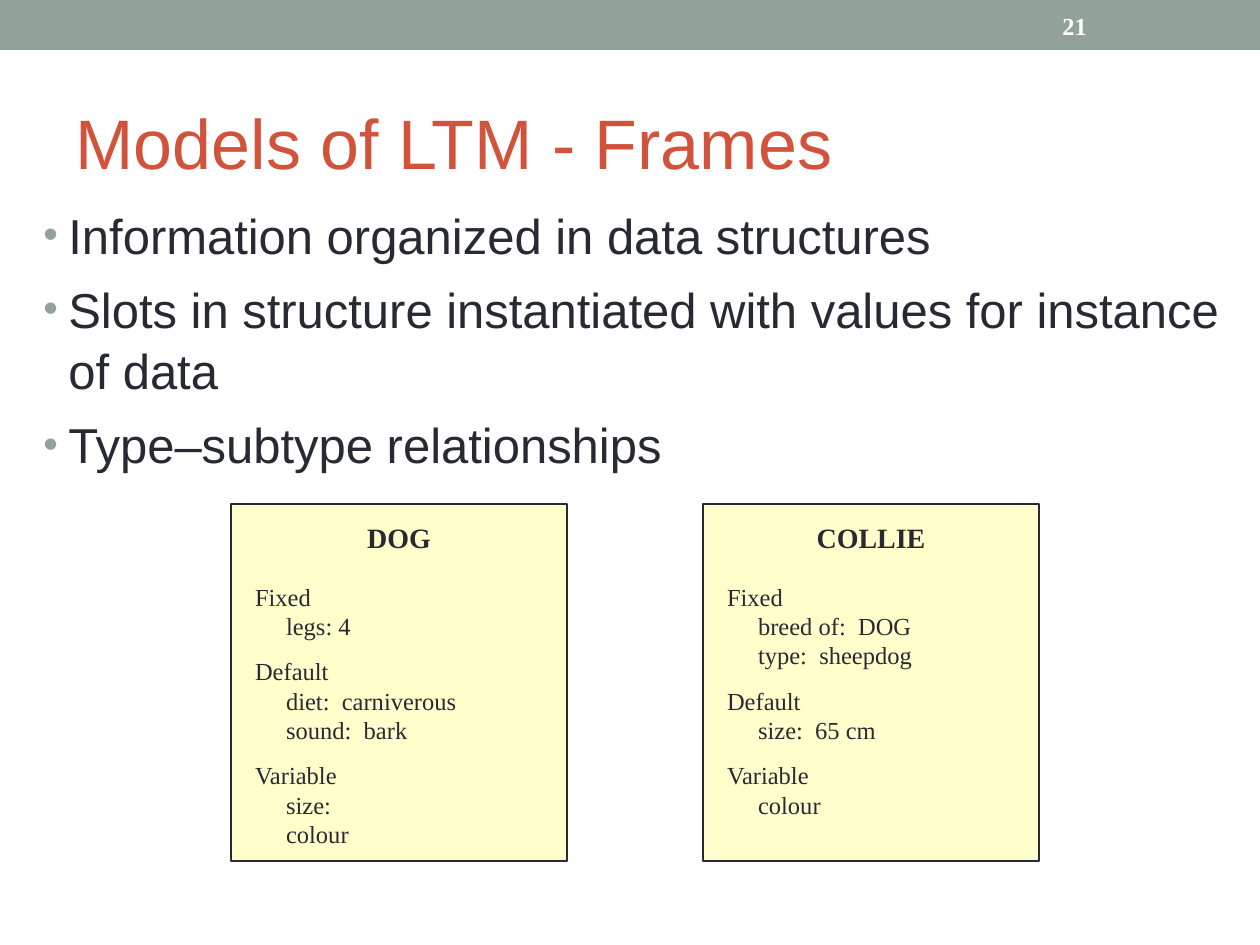
"""Build the slide on frame models of long-term memory."""
import pptx
import pptx.dml.color
import pptx.enum.shapes
import pptx.enum.text
import pptx.oxml
import pptx.oxml.ns
import pptx.util

EMU_PER_INCH = 914400
PX_PER_INCH = 126
SAGE = pptx.dml.color.RGBColor(0x93, 0xA2, 0x99)
RUST = pptx.dml.color.RGBColor(0xD2, 0x53, 0x3C)
INK = pptx.dml.color.RGBColor(0x29, 0x29, 0x34)
CREAM = pptx.dml.color.RGBColor(0xFF, 0xFF, 0xCC)
WHITE = pptx.dml.color.RGBColor(0xFF, 0xFF, 0xFF)
SANS = "Arial"
SERIF = "Times New Roman"

POINTS = [
    "Information organized in data structures",
    "Slots in structure instantiated with values for instance of data",
    "Type–subtype relationships",
]
FRAMES = [
    ("DOG", [
        ("Fixed", ["legs: 4"]),
        ("Default", ["diet:  carniverous", "sound:  bark"]),
        ("Variable", ["size:", "colour"]),
    ]),
    ("COLLIE", [
        ("Fixed", ["breed of:  DOG", "type:  sheepdog"]),
        ("Default", ["size:  65 cm"]),
        ("Variable", ["colour"]),
    ]),
]
FRAME_LEFT, FRAME_TOP, FRAME_STEP = 231, 504, 472
FRAME_WIDTH, FRAME_HEIGHT = 336, 357


def px(length):
    return pptx.util.Emu(round(length * EMU_PER_INCH / PX_PER_INCH))


def style_paragraph(paragraph, text, size, font_name, color, bold=False, space_before=0):
    paragraph.text = text
    paragraph.alignment = pptx.enum.text.PP_ALIGN.LEFT
    paragraph.space_before = pptx.util.Pt(space_before)
    paragraph.font.size = pptx.util.Pt(size)
    paragraph.font.name = font_name
    paragraph.font.bold = bold
    paragraph.font.color.rgb = color


def next_paragraph(text_frame, index):
    return text_frame.add_paragraph() if index else text_frame.paragraphs[0]


def indent_paragraph(paragraph, margin, first_line=0):
    properties = paragraph._p.get_or_add_pPr()
    properties.set("marL", str(px(margin)))
    properties.set("indent", str(px(first_line)))
    return properties


def add_bullet(paragraph):
    properties = indent_paragraph(paragraph, 25, -25)
    namespace = pptx.oxml.ns.nsdecls("a")
    for element in (
        f'<a:buClr {namespace}><a:srgbClr val="{SAGE}"/></a:buClr>',
        f'<a:buSzPct {namespace} val="85000"/>',
        f'<a:buFont {namespace} typeface="{SANS}"/>',
        f'<a:buChar {namespace} char="•"/>',
    ):
        properties.append(pptx.oxml.parse_xml(element))


def add_rectangle(slide, left, top, width, height, fill):
    shape = slide.shapes.add_shape(
        pptx.enum.shapes.MSO_SHAPE.RECTANGLE, px(left), px(top), px(width), px(height))
    shape.shadow.inherit = False
    shape.fill.solid()
    shape.fill.fore_color.rgb = fill
    shape.line.fill.background()
    return shape


def add_text_box(slide, left, top, width, height):
    box = slide.shapes.add_textbox(px(left), px(top), px(width), px(height))
    box.text_frame.word_wrap = True
    return box.text_frame


def set_title(slide, text):
    title = slide.shapes.title
    title.left, title.top, title.width, title.height = px(63), px(73), px(1134), px(136)
    text_frame = title.text_frame
    text_frame.auto_size = pptx.enum.text.MSO_AUTO_SIZE.NONE
    text_frame.vertical_anchor = pptx.enum.text.MSO_ANCHOR.MIDDLE
    style_paragraph(text_frame.paragraphs[0], text, 40, SANS, RUST)


def add_bullet_list(slide, points):
    text_frame = add_text_box(slide, 31, 196, 1229, 277)
    for index, point in enumerate(points):
        paragraph = next_paragraph(text_frame, index)
        add_bullet(paragraph)
        style_paragraph(paragraph, point, 28, SANS, INK, space_before=7 if index else 0)
        paragraph.line_spacing = 1.05


def add_frame(slide, left, heading, groups):
    shape = add_rectangle(slide, left, FRAME_TOP, FRAME_WIDTH, FRAME_HEIGHT, CREAM)
    shape.line.color.rgb = INK
    shape.line.width = pptx.util.Pt(1.5)
    text_frame = shape.text_frame
    text_frame.word_wrap = True
    text_frame.vertical_anchor = pptx.enum.text.MSO_ANCHOR.TOP
    text_frame.margin_left = text_frame.margin_right = px(24)
    text_frame.margin_top, text_frame.margin_bottom = px(16), px(6)
    title = text_frame.paragraphs[0]
    style_paragraph(title, heading, 16, SERIF, INK, bold=True)
    title.alignment = pptx.enum.text.PP_ALIGN.CENTER
    for index, (label, slots) in enumerate(groups):
        style_paragraph(text_frame.add_paragraph(), label, 14, SERIF, INK,
                        space_before=9 if index else 16)
        for slot in slots:
            paragraph = text_frame.add_paragraph()
            indent_paragraph(paragraph, 31)
            style_paragraph(paragraph, slot, 14, SERIF, INK)


def add_slide_number(slide, number):
    text_frame = add_text_box(slide, 1050, 3, 147, 45)
    text_frame.vertical_anchor = pptx.enum.text.MSO_ANCHOR.MIDDLE
    style_paragraph(text_frame.paragraphs[0], number, 14, SERIF, WHITE, bold=True)


def main():
    presentation = pptx.Presentation()
    presentation.slide_width, presentation.slide_height = px(1260), px(945)
    slide = presentation.slides.add_slide(presentation.slide_layouts[5])
    add_rectangle(slide, 0, 0, 1260, 50, SAGE)
    set_title(slide, "Models of LTM - Frames")
    add_bullet_list(slide, POINTS)
    for index, (heading, groups) in enumerate(FRAMES):
        add_frame(slide, FRAME_LEFT + index * FRAME_STEP, heading, groups)
    add_slide_number(slide, "21")
    presentation.save("out.pptx")


if __name__ == "__main__":
    main()
